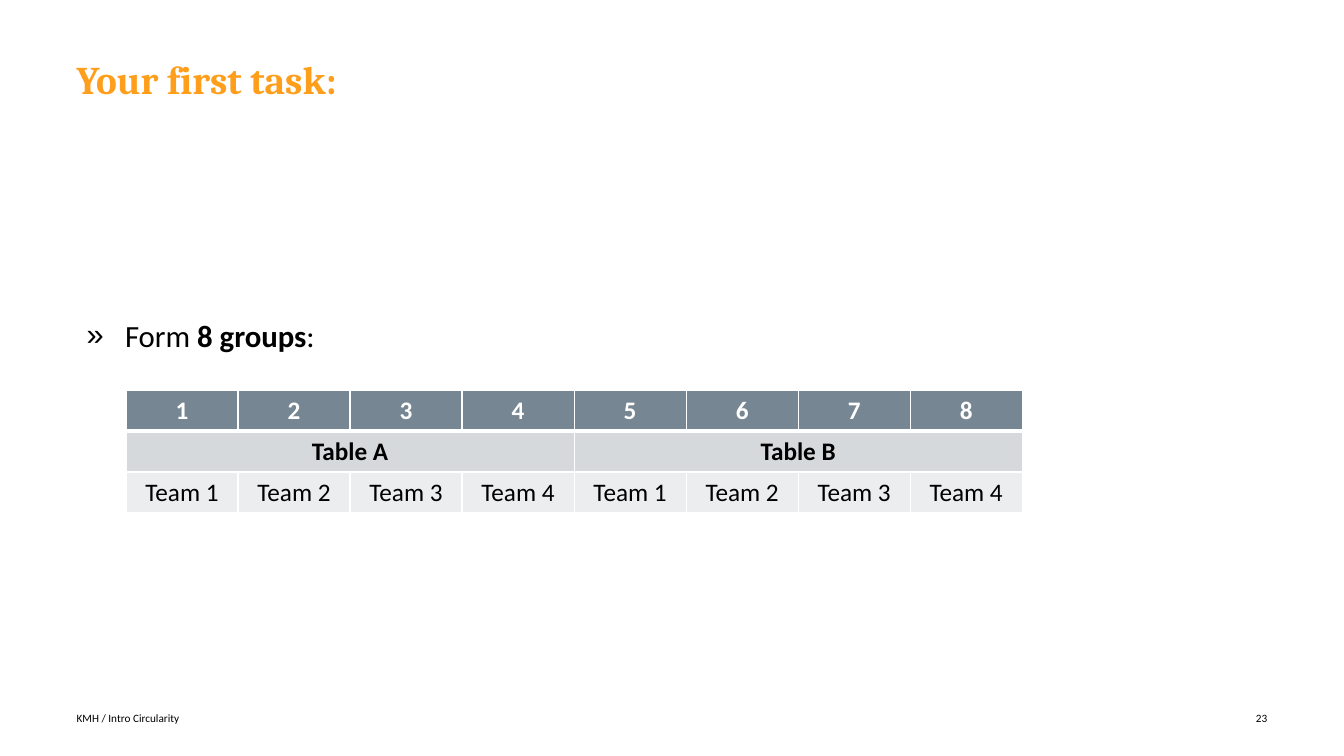
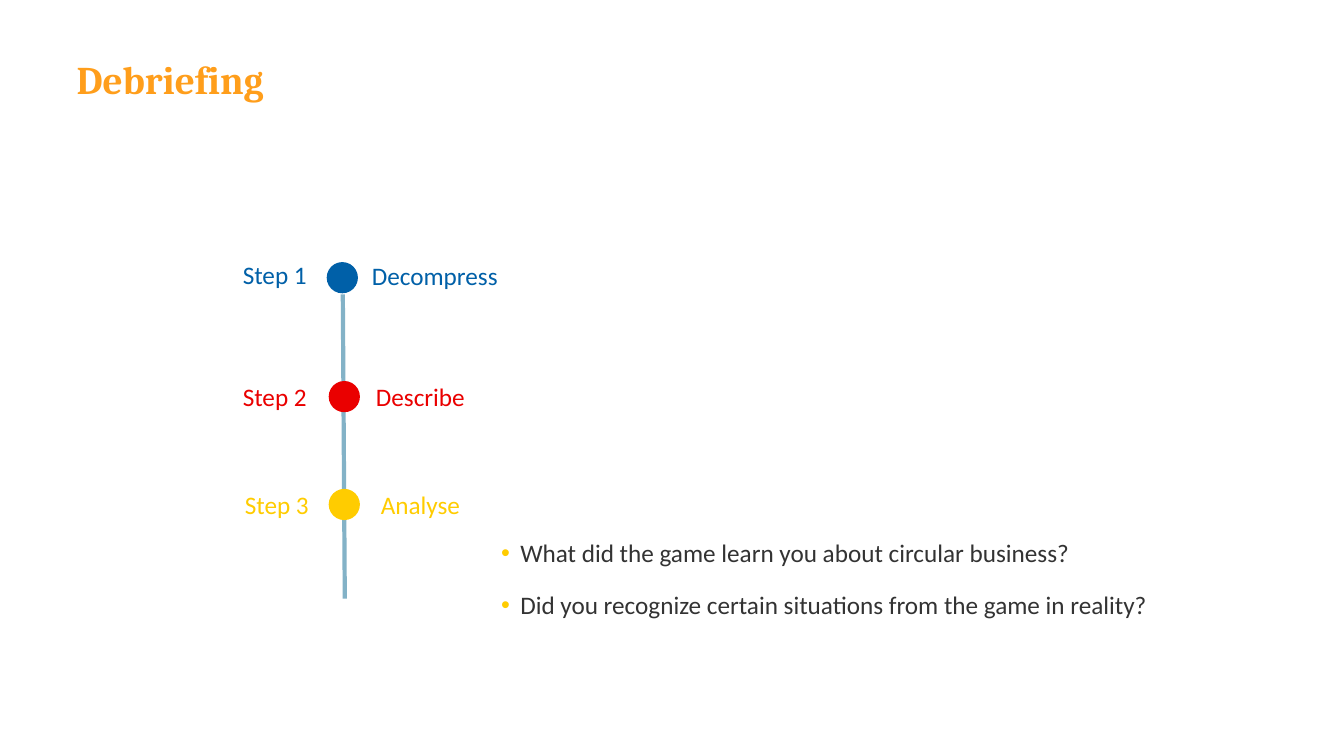
from dataclasses import dataclass
from typing import Optional

import pptx
import pptx.dml.color
import pptx.enum.shapes
import pptx.enum.text
import pptx.oxml
import pptx.oxml.ns
import pptx.util

Inches = pptx.util.Inches
Pt = pptx.util.Pt
RGBColor = pptx.dml.color.RGBColor
Align = pptx.enum.text.PP_ALIGN
Anchor = pptx.enum.text.MSO_ANCHOR

# Shared look
TITLE_FONT, TEXT_FONT = "Cambria", "Calibri"
ORANGE = RGBColor(0xFF, 0x9E, 0x1B)
BLACK = RGBColor(0x00, 0x00, 0x00)
WHITE = RGBColor(0xFF, 0xFF, 0xFF)
DARK_GREY = RGBColor(0x33, 0x33, 0x33)
SLATE = RGBColor(0x76, 0x86, 0x92)
MID_GREY = RGBColor(0xD6, 0xD9, 0xDC)
PALE_GREY = RGBColor(0xEC, 0xED, 0xEE)
TIMELINE_BLUE = RGBColor(0x83, 0xB2, 0xC7)
BLUE = RGBColor(0x00, 0x60, 0xA8)
RED = RGBColor(0xEA, 0x00, 0x00)
YELLOW = RGBColor(0xFF, 0xCC, 0x00)
LEFT_MARGIN = 0.76


@dataclass(frozen=True)
class Box:
    left: float
    top: float
    width: float
    height: float

    def lengths(self) -> tuple:
        return tuple(Inches(v) for v in (self.left, self.top, self.width, self.height))


@dataclass(frozen=True)
class TextStyle:
    size: float
    color: RGBColor
    bold: bool = False
    font: str = TEXT_FONT


@dataclass(frozen=True)
class BulletStyle:
    char: str
    indent: float
    line_spacing: float
    space_before: float
    space_after: float
    color: Optional[RGBColor] = None


@dataclass(frozen=True)
class Step:
    label: str
    topic: str
    color: RGBColor
    dot_left: float
    dot_top: float
    label_left: float
    label_top: float
    topic_box: Box
    topic_align: Align = Align.LEFT


TITLE_STYLE = TextStyle(28, ORANGE, True, TITLE_FONT)
FOOTER_STYLE = TextStyle(8, BLACK)
STEPS = [
    Step("Step 1", "Decompress", BLUE, 3.24, 2.6, 2.31, 2.52, Box(3.59, 2.53, 1.81, 0.4)),
    Step("Step 2", "Describe", RED, 3.26, 3.78, 2.31, 3.73, Box(3.63, 3.73, 1.22, 0.4)),
    Step("Step 3", "Analyse", YELLOW, 3.26, 4.85, 2.33, 4.81,
         Box(3.54, 4.81, 1.26, 0.4), Align.CENTER),
]
QUESTIONS = [
    "What did the game learn you about circular business?",
    "Did you recognize certain situations from the game in reality?",
]


def add_run(paragraph, text: str, style: TextStyle) -> None:
    run = paragraph.add_run()
    run.text = text
    run.font.name = style.font
    run.font.size = Pt(style.size)
    run.font.bold = style.bold
    run.font.color.rgb = style.color


def place(shape, box: Box) -> None:
    shape.left, shape.top, shape.width, shape.height = box.lengths()


def set_frame(frame, anchor: Anchor, margins: tuple = (0.1, 0.05, 0.1, 0.05)) -> None:
    frame.word_wrap = True
    frame.auto_size = pptx.enum.text.MSO_AUTO_SIZE.NONE
    frame.vertical_anchor = anchor
    (frame.margin_left, frame.margin_top,
     frame.margin_right, frame.margin_bottom) = (Inches(m) for m in margins)


def add_label(slide, box: Box, text: str, style: TextStyle, align: Align = Align.LEFT,
              anchor: Anchor = Anchor.TOP, margins: tuple = (0.1, 0.05, 0.1, 0.05)) -> None:
    frame = slide.shapes.add_textbox(*box.lengths()).text_frame
    set_frame(frame, anchor, margins)
    frame.paragraphs[0].alignment = align
    add_run(frame.paragraphs[0], text, style)


def add_titled_slide(deck, title: str):
    slide = deck.slides.add_slide(deck.slide_layouts[1])
    heading = slide.shapes.title
    place(heading, Box(LEFT_MARGIN, 0.6, 9.76, 0.87))
    set_frame(heading.text_frame, Anchor.TOP, (0, 0, 0, 0))
    paragraph = heading.text_frame.paragraphs[0]
    paragraph.alignment = Align.LEFT
    paragraph.line_spacing = 0.9
    add_run(paragraph, title, TITLE_STYLE)
    return slide


def add_footer(slide, text: str, number: str) -> None:
    for box, words, align in (
        (Box(LEFT_MARGIN, 7.04, 5.59, 0.16), text, Align.LEFT),
        (Box(12.02, 7.04, 0.55, 0.16), number, Align.RIGHT),
    ):
        add_label(slide, box, words, FOOTER_STYLE, align, Anchor.MIDDLE, (0, 0, 0, 0))


def format_bullet(paragraph, bullet: BulletStyle, first: bool) -> None:
    properties = paragraph._p.get_or_add_pPr()
    properties.set("marL", str(Inches(bullet.indent)))
    properties.set("indent", str(-Inches(bullet.indent)))
    namespace = pptx.oxml.ns.nsdecls("a")
    if bullet.color is not None:
        properties.append(pptx.oxml.parse_xml(
            f'<a:buClr {namespace}><a:srgbClr val="{bullet.color}"/></a:buClr>'))
    properties.append(pptx.oxml.parse_xml(f'<a:buChar {namespace} char="{bullet.char}"/>'))
    paragraph.alignment = Align.LEFT
    paragraph.line_spacing = bullet.line_spacing
    paragraph.space_before = Pt(0 if first else bullet.space_before)
    paragraph.space_after = Pt(bullet.space_after)


def fill_list(slide, box: Box, items: list, bullet: BulletStyle,
              anchor: Anchor, margins: tuple) -> None:
    """Each item is a list of (text, style) runs."""
    body = slide.placeholders[1]
    place(body, box)
    frame = body.text_frame
    set_frame(frame, anchor, margins)
    for index, runs in enumerate(items):
        paragraph = frame.add_paragraph() if index else frame.paragraphs[0]
        format_bullet(paragraph, bullet, index == 0)
        for text, style in runs:
            add_run(paragraph, text, style)


def format_cell(cell, fill: RGBColor, bottom_width: float, top_width: float) -> None:
    cell.fill.solid()
    cell.fill.fore_color.rgb = fill
    properties = cell._tc.get_or_add_tcPr()
    widths = {"lnL": 1, "lnR": 1, "lnT": top_width, "lnB": bottom_width}
    for position, (side, width) in enumerate(widths.items()):
        properties.insert(position, pptx.oxml.parse_xml(
            f'<a:{side} {pptx.oxml.ns.nsdecls("a")} w="{Pt(width)}">'
            f'<a:solidFill><a:srgbClr val="{WHITE}"/></a:solidFill></a:{side}>'))


def add_group_table(slide) -> None:
    teams = [f"Team {n}" for n in range(1, 5)]
    rows = [
        ([str(n) for n in range(1, 9)], SLATE, TextStyle(18, WHITE, True)),
        (["Table A", "", "", "", "Table B", "", "", ""], MID_GREY, TextStyle(18, BLACK, True)),
        (teams * 2, PALE_GREY, TextStyle(18, BLACK)),
    ]
    groups = slide.shapes.add_table(3, 8, *Box(1.25, 3.87, 8.89, 1.22).lengths()).table
    groups.first_row = groups.horz_banding = False
    for row, (texts, fill, style) in enumerate(rows):
        for column, text in enumerate(texts):
            cell = groups.cell(row, column)
            format_cell(cell, fill, 3 if row == 0 else 1, 3 if row == 1 else 1)
            if text:
                paragraph = cell.text_frame.paragraphs[0]
                paragraph.alignment = Align.CENTER
                add_run(paragraph, text, style)
    for start in (0, 4):
        groups.cell(1, start).merge(groups.cell(1, start + 3))


def add_timeline(slide) -> None:
    axis = slide.shapes.add_connector(
        pptx.enum.shapes.MSO_CONNECTOR.STRAIGHT,
        Inches(3.4), Inches(2.92), Inches(3.42), Inches(5.94))
    axis.line.color.rgb = TIMELINE_BLUE
    axis.line.width = Pt(3)
    axis._element.spPr.append(
        pptx.oxml.parse_xml(f'<a:effectLst {pptx.oxml.ns.nsdecls("a")}/>'))
    for step in STEPS:
        dot = slide.shapes.add_shape(
            pptx.enum.shapes.MSO_SHAPE.OVAL,
            *Box(step.dot_left, step.dot_top, 0.31, 0.31).lengths())
        dot.shadow.inherit = False
        dot.fill.solid()
        dot.fill.fore_color.rgb = step.color
        dot.line.fill.background()
        style = TextStyle(18, step.color)
        add_label(slide, step.topic_box, step.topic, style, step.topic_align)
        add_label(slide, Box(step.label_left, step.label_top, 0.94, 0.4), step.label, style)


def build_task_slide(deck) -> None:
    slide = add_titled_slide(deck, "Your first task:")
    plain, strong = TextStyle(22, BLACK), TextStyle(22, BLACK, True)
    # The deep bottom margin lifts the line above the table
    fill_list(slide, Box(LEFT_MARGIN, 1.07, 11.81, 4.96),
              [[("Form ", plain), ("8 groups", strong), (":", plain)]],
              BulletStyle("»", 0.38, 1.2, 6, 0), Anchor.MIDDLE, (0.1, 0.05, 0.1, 0.57))
    add_group_table(slide)
    add_footer(slide, "KMH / Intro Circularity", "23")


def build_debriefing_slide(deck) -> None:
    slide = add_titled_slide(deck, "Debriefing")
    add_timeline(slide)
    question_style = TextStyle(18, DARK_GREY)
    fill_list(slide, Box(4.85, 5.1, 6.86, 1.09),
              [[(question, question_style)] for question in QUESTIONS],
              BulletStyle("•", 0.19, 1.5, 0, 5, YELLOW), Anchor.TOP, (0.12, 0.08, 0.12, 0.08))


def main() -> None:
    deck = pptx.Presentation()
    deck.slide_width, deck.slide_height = Inches(13.33), Inches(7.5)
    build_task_slide(deck)
    build_debriefing_slide(deck)
    deck.save("out.pptx")


if __name__ == "__main__":
    main()
